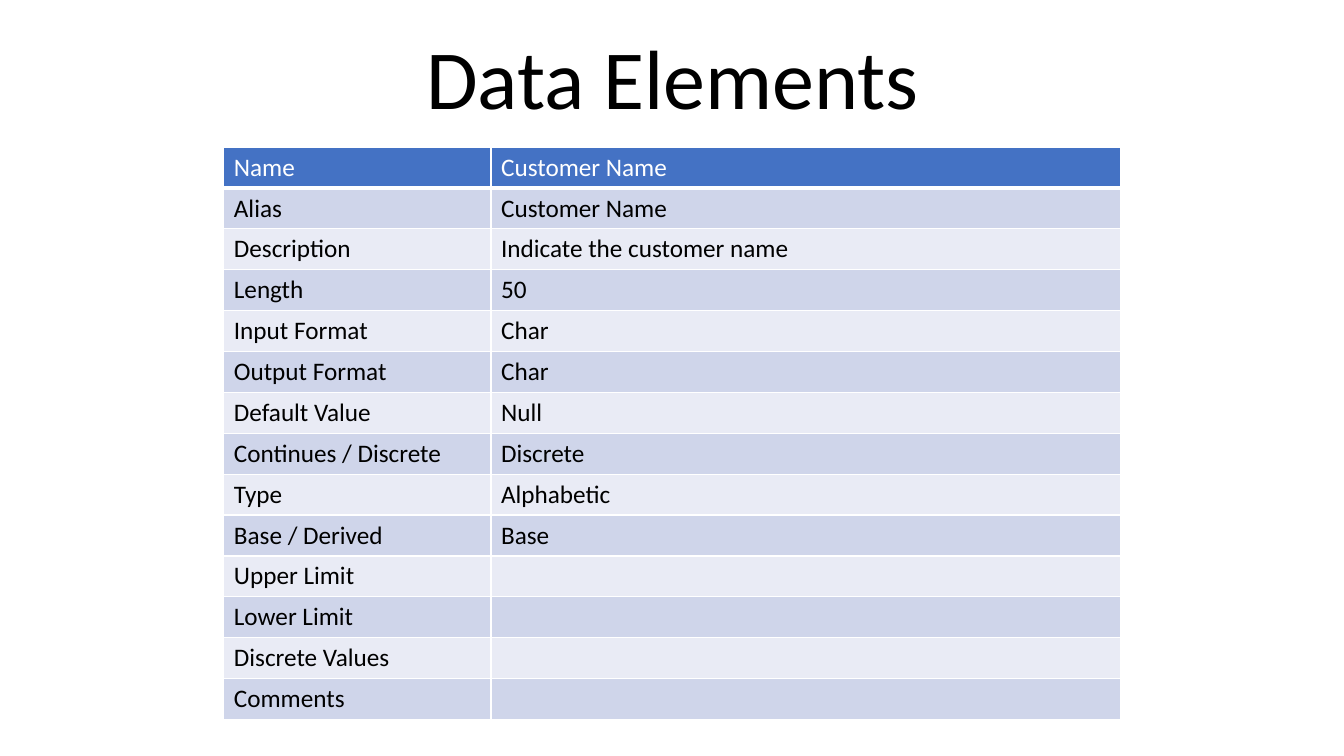
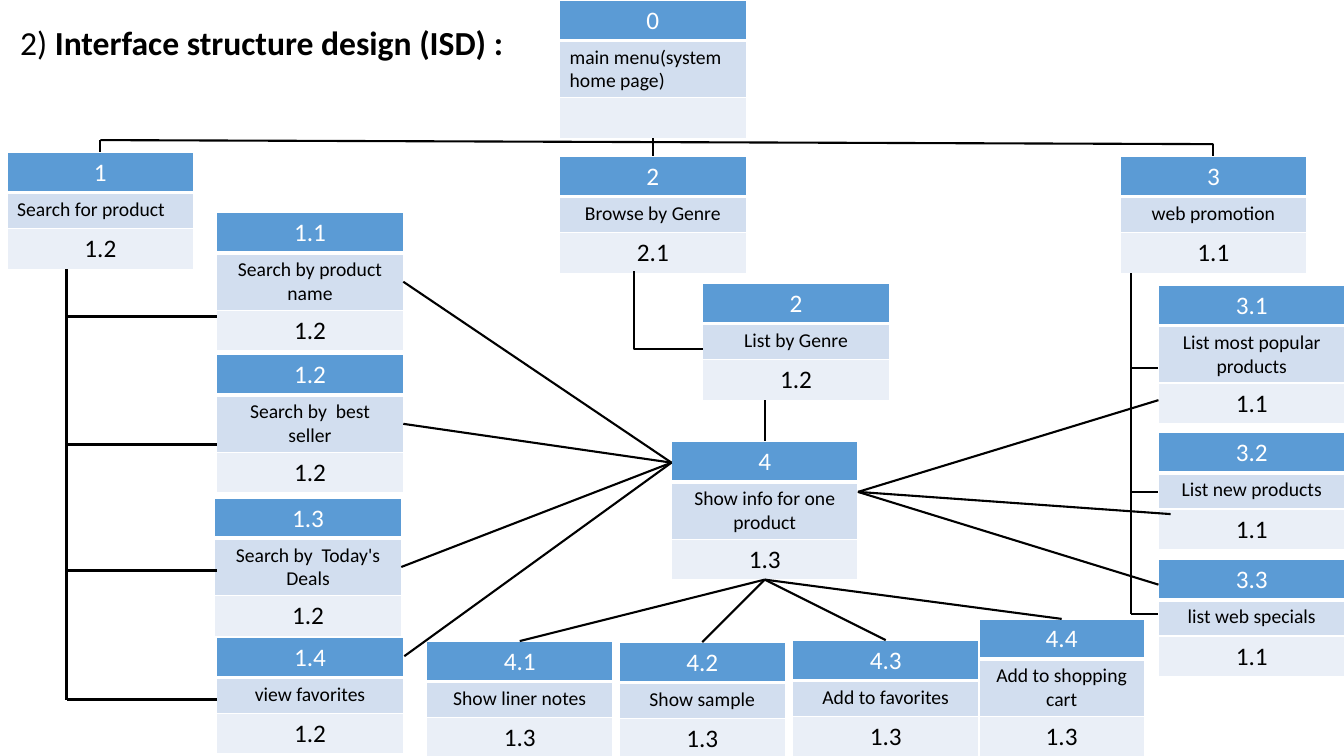
from dataclasses import dataclass

from lxml.etree import SubElement
from pptx import Presentation
from pptx.dml.color import RGBColor
from pptx.enum.shapes import MSO_CONNECTOR
from pptx.enum.text import MSO_ANCHOR, PP_ALIGN
from pptx.oxml.ns import qn
from pptx.util import Inches, Pt

FONT = "Calibri"
BLACK, WHITE = "000000", "FFFFFF"
# Header fill, then the two alternating body fills
INDIGO = ("4472C4", "CFD5EA", "E9EBF5")
BLUE = ("5B9BD5", "D2DEEF", "EAEFF7")

LEFT, CENTER = PP_ALIGN.LEFT, PP_ALIGN.CENTER
NODE_WIDTH = 1.85
NUMBER_ROW, ONE_LINE, TWO_LINES = 0.4, 0.36, 0.57

DATA_ELEMENTS = [
    ("Name", "Customer Name"),
    ("Alias", "Customer Name"),
    ("Description", "Indicate the customer name"),
    ("Length", "50"),
    ("Input Format", "Char"),
    ("Output Format", "Char"),
    ("Default Value", "Null"),
    ("Continues / Discrete", "Discrete"),
    ("Type", "Alphabetic"),
    ("Base / Derived", "Base"),
    ("Upper Limit", ""),
    ("Lower Limit", ""),
    ("Discrete Values", ""),
    ("Comments", ""),
]


@dataclass
class Node:
    """One interface screen: its number, its name and the screen it returns to."""
    number: str
    label: str
    back: str
    left: float
    top: float
    label_height: float = ONE_LINE
    width: float = NODE_WIDTH
    align: PP_ALIGN = CENTER

    @property
    def center(self):
        return self.left + self.width / 2

    @property
    def right(self):
        return self.left + self.width

    @property
    def bottom(self):
        return self.top + 2 * NUMBER_ROW + self.label_height

    @property
    def middle(self):
        return (self.top + self.bottom) / 2


NODES = {
    "main": Node("0", "main menu(system home page)", "", 5.55, 0, TWO_LINES, align=LEFT),
    "search": Node("1", "Search for product", "1.2", 0.07, 1.51, align=LEFT),
    "browse": Node("2", "Browse by Genre", "2.1", 5.55, 1.55),
    "promotion": Node("3", "web promotion", "1.1", 11.11, 1.55),
    "by name": Node("1.1", "Search by product name", "1.2", 2.15, 2.11, TWO_LINES),
    "best seller": Node("1.2", "Search by  best seller", "1.2", 2.15, 3.52, TWO_LINES),
    "deals": Node("1.3", "Search by  Today's Deals", "1.2", 2.13, 4.94, TWO_LINES),
    "view favorites": Node("1.4", "view favorites", "1.2", 2.15, 6.32),
    "popular": Node("3.1", "List most popular products", "1.1", 11.49, 2.83, TWO_LINES),
    "new": Node("3.2", "List new products", "1.1", 11.49, 4.29),
    "specials": Node("3.3", "list web specials", "1.1", 11.49, 5.55),
    "genre": Node("2", "List by Genre", "1.2", 6.97, 2.81),
    "product": Node("4", "Show info for one product", "1.3", 6.66, 4.38, TWO_LINES),
    "notes": Node("4.1", "Show liner notes", "1.3", 4.23, 6.36),
    "sample": Node("4.2", "Show sample", "1.3", 6.14, 6.37, width=1.65),
    "add favorite": Node("4.3", "Add to favorites", "1.3", 7.86, 6.35),
    "cart": Node("4.4", "Add to shopping cart", "1.3", 9.71, 6.14, TWO_LINES, 1.64),
}


def rgb(color):
    return RGBColor.from_string(color)


def write(para, text, size=18, color=BLACK, bold=False, align=LEFT):
    para.alignment = align
    if text:
        span = para.add_run()
        span.text = text
        span.font.name = FONT
        span.font.size = Pt(size)
        span.font.bold = bold
        span.font.color.rgb = rgb(color)


def set_borders(cell, bottom_width):
    properties = cell._tc.get_or_add_tcPr()
    widths = {"a:lnL": 1, "a:lnR": 1, "a:lnT": 1, "a:lnB": bottom_width}
    for position, (tag, width) in enumerate(widths.items()):
        line = SubElement(properties, qn(tag), w=str(Pt(width)))
        fill = SubElement(line, qn("a:solidFill"))
        SubElement(fill, qn("a:srgbClr"), val=WHITE)
        properties.insert(position, line)


class Painter:
    def __init__(self):
        self.deck = Presentation()
        self.deck.slide_width = Inches(13.33)
        self.deck.slide_height = Inches(7.5)
        self.page = None

    def new_page(self):
        self.page = self.deck.slides.add_slide(self.deck.slide_layouts[6])

    def text_box(self, left, top, width, height, anchor=MSO_ANCHOR.TOP):
        """Add a wrapping text box and return its first paragraph."""
        box = self.page.shapes.add_textbox(*map(Inches, (left, top, width, height)))
        box.text_frame.word_wrap = True
        box.text_frame.vertical_anchor = anchor
        return box.text_frame.paragraphs[0]

    def table(self, left, top, widths, heights, palette):
        """Add a table with a filled header and alternating rows."""
        frame = self.page.shapes.add_table(
            len(heights), len(widths), Inches(left), Inches(top),
            Inches(sum(widths)), Inches(sum(heights)))
        table = frame.table
        for column, width in zip(table.columns, widths):
            column.width = Inches(width)
        header, odd, even = palette
        for index, (row, height) in enumerate(zip(table.rows, heights)):
            row.height = Inches(height)
            for cell in row.cells:
                cell.fill.solid()
                color = header if index == 0 else odd if index % 2 else even
                cell.fill.fore_color.rgb = rgb(color)
                set_borders(cell, 1 if index else 3)
        return table

    def node(self, node):
        heights = (NUMBER_ROW, node.label_height, NUMBER_ROW)
        table = self.table(node.left, node.top, [node.width], heights, BLUE)
        paras = [cell.text_frame.paragraphs[0] for cell in table.iter_cells()]
        write(paras[0], node.number, color=WHITE, align=CENTER)
        write(paras[1], node.label, size=14, align=node.align)
        write(paras[2], node.back, align=CENTER)

    def line(self, start, end, kind=MSO_CONNECTOR.STRAIGHT):
        connector = self.page.shapes.add_connector(kind, *map(Inches, (*start, *end)))
        connector.line.color.rgb = rgb(BLACK)
        connector.line.width = Pt(1.5)
        SubElement(connector._element.spPr, qn("a:effectLst"))
        return connector

    def down_then_right(self, start, end):
        """Draw a one-corner connector: a mirrored bend turned by 270 degrees."""
        (x1, y1), (x2, y2) = start, end
        center, middle = (x1 + x2) / 2, (y1 + y2) / 2
        half_length, half_depth = (y2 - y1) / 2, (x2 - x1) / 2
        connector = self.line((center + half_length, middle - half_depth),
                              (center - half_length, middle + half_depth),
                              MSO_CONNECTOR.ELBOW)
        properties = connector._element.spPr
        properties.find(qn("a:xfrm")).set("rot", str(270 * 60000))
        properties.find(qn("a:prstGeom")).set("prst", "bentConnector2")

    def spine(self, x, top, branch_ys, branch_end):
        """Draw a vertical line with branches to the right."""
        self.line((x, top), (x, branch_ys[-1]))
        for y in branch_ys:
            self.line((x, y), (branch_end, y))

    def fan(self, start, ends):
        for end in ends:
            self.line(start, end)


def draw_data_elements(painter):
    painter.new_page()
    title = painter.text_box(1.67, 0.24, 10, 1.08, MSO_ANCHOR.BOTTOM)
    title.line_spacing = 0.9
    write(title, "Data Elements", size=60, align=CENTER)
    heights = [5.68 / len(DATA_ELEMENTS)] * len(DATA_ELEMENTS)
    table = painter.table(2.22, 1.46, (2.65, 6.24), heights, INDIGO)
    for index, texts in enumerate(DATA_ELEMENTS):
        for cell, text in zip(table.rows[index].cells, texts):
            write(cell.text_frame.paragraphs[0], text, color=BLACK if index else WHITE)


def draw_interface_structure(painter):
    painter.new_page()
    for node in NODES.values():
        painter.node(node)

    main, browse, product = NODES["main"], NODES["browse"], NODES["product"]
    search, promotion, genre = NODES["search"], NODES["promotion"], NODES["genre"]
    bar_left, bar_right = (search.center, 1.39), (promotion.center, 1.43)
    painter.line(bar_left, bar_right)
    painter.line(bar_left, (search.center, search.top))
    painter.line(bar_right, (promotion.center, promotion.top))
    painter.line((main.center, main.bottom), (browse.center, browse.top))

    painter.spine(0.66, search.bottom, (3.14, 4.41, 5.66, 6.94), 2.15)
    painter.spine(11.22, promotion.bottom, (3.65, 4.88, 6.09), 11.49)
    painter.down_then_right((6.29, 2.69), (genre.left, 3.46))
    painter.line((product.center, genre.bottom), (product.center, product.top))

    searches = [NODES[key] for key in ("by name", "best seller", "deals")]
    painter.fan((product.left, 4.59),
                [(node.right, node.middle) for node in searches] + [(4.01, 6.51)])
    painter.fan((product.right, 4.88), [(11.49, 3.97), (11.61, 5.1), (11.49, 5.8)])
    actions = [NODES[key] for key in ("notes", "sample", "add favorite", "cart")]
    painter.fan((product.center, product.bottom),
                [(node.center, node.top) for node in actions])

    heading = painter.text_box(0.1, 0.11, 6.68, 1.14)
    heading.line_spacing = 1.15
    heading.space_after = Pt(10)
    write(heading, "2)", size=24)
    write(heading, " Interface structure design (ISD) :", size=24, bold=True)


def main():
    painter = Painter()
    draw_data_elements(painter)
    draw_interface_structure(painter)
    painter.deck.save("out.pptx")


if __name__ == "__main__":
    main()
